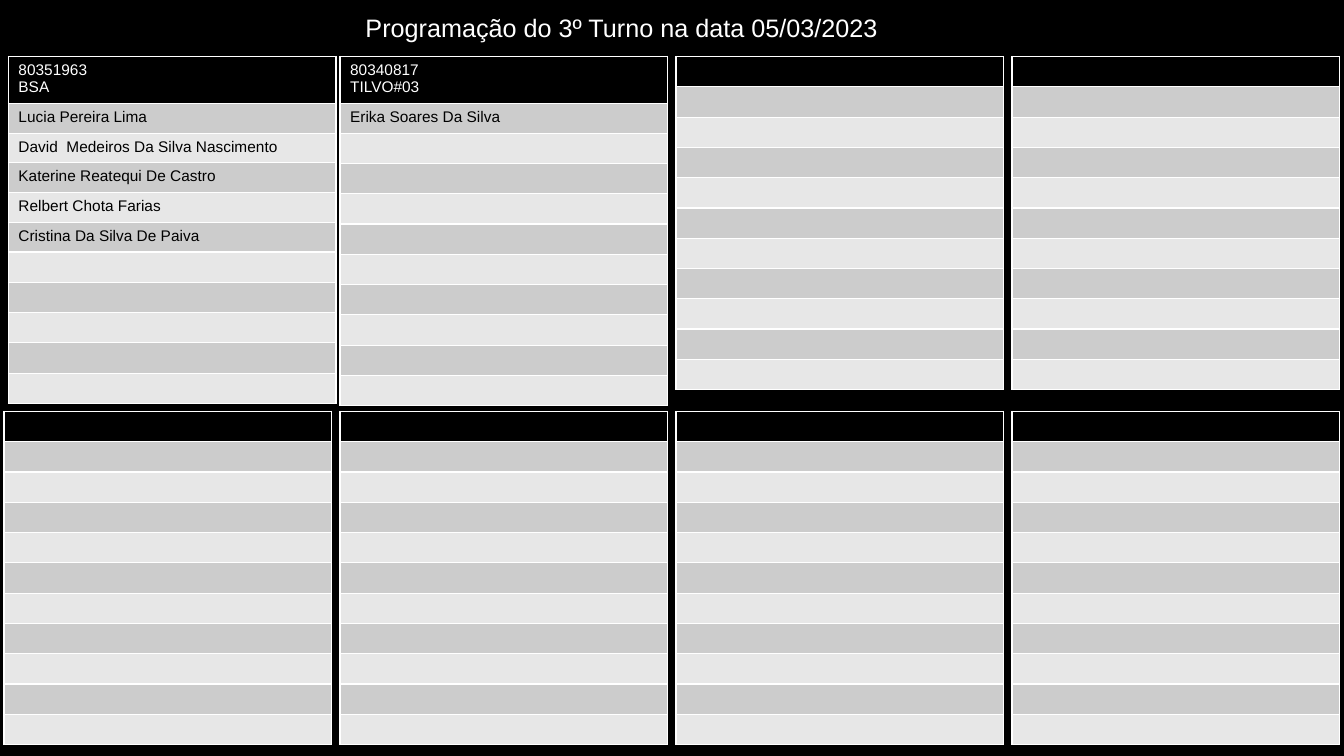
from pptx import Presentation
from pptx import util as u
from pptx.dml import color
from pptx.oxml import ns
from lxml import etree

FONT = "Arial"
BLACK, WHITE = "000000", "FFFFFF"
BANDS = ("CCCCCC", "E7E7E7")
ROWS = 11
TEXT_ROW, EMPTY_ROW, TWO_LINE_ROW = 21.25, 21.65, 33.5

# Grid of work order tables
LEFT, PITCH, WIDTH = 2.9, 240, 234
TOPS = (40.4, 293.9)
FIRST_TABLE_SHIFT = 3.1

ORDERS = [
    ("80351963\nBSA", [
        "Lucia Pereira Lima",
        "David\u00a0 Medeiros Da Silva Nascimento",
        "Katerine Reatequi De Castro",
        "Relbert Chota Farias",
        "Cristina Da Silva De Paiva",
    ]),
    ("80340817\nTILVO#03", ["Erika Soares Da Silva"]),
] + [("", [])] * 6


def rgb(value):
    return color.RGBColor.from_string(value)


def style_font(font, size, font_color):
    font.name = FONT
    font.size = u.Pt(size)
    font.color.rgb = rgb(font_color)


def add_borders(cell):
    properties = cell._tc.get_or_add_tcPr()
    for side in "LRTB":
        line = etree.SubElement(properties, ns.qn("a:ln" + side), w=str(u.Pt(1)))
        fill = etree.SubElement(line, ns.qn("a:solidFill"))
        etree.SubElement(fill, ns.qn("a:srgbClr"), val=WHITE)


def fill_cell(cell, content, fill_color, font_color):
    add_borders(cell)
    cell.fill.solid()
    cell.fill.fore_color.rgb = rgb(fill_color)
    cell.text = content
    for paragraph in cell.text_frame.paragraphs:
        style_font(paragraph.font, 11, font_color)


def add_order_table(slide, left, top, width, header, workers):
    contents = [header] + workers + [""] * (ROWS - 1 - len(workers))
    heights = [TEXT_ROW if content else EMPTY_ROW for content in contents]
    if header:
        heights[0] = TWO_LINE_ROW
    table = slide.shapes.add_table(ROWS, 1, u.Pt(left), u.Pt(top),
                                   u.Pt(width), u.Pt(sum(heights))).table
    table.first_row = table.horz_banding = False
    for index, (content, height) in enumerate(zip(contents, heights)):
        table.rows[index].height = u.Pt(height)
        cell = table.cell(index, 0)
        if index == 0:
            fill_cell(cell, content, BLACK, WHITE)
        else:
            fill_cell(cell, content, BANDS[(index - 1) % 2], BLACK)


def add_title(slide, left, top, width, height, title):
    box = slide.shapes.add_textbox(u.Pt(left), u.Pt(top), u.Pt(width), u.Pt(height))
    box.text_frame.word_wrap = False
    paragraph = box.text_frame.paragraphs[0]
    paragraph.text = title
    style_font(paragraph.font, 18, WHITE)


def add_schedule(slide, left, orders):
    for index, (header, workers) in enumerate(orders):
        row, column = divmod(index, 4)
        shift = FIRST_TABLE_SHIFT if index == 0 else 0
        add_order_table(slide, left + column * PITCH + shift, TOPS[row],
                        WIDTH, header, workers)


presentation = Presentation()
presentation.slide_width = u.Pt(960)
presentation.slide_height = u.Pt(540)
slide = presentation.slides.add_slide(presentation.slide_layouts[6])
slide.background.fill.solid()
slide.background.fill.fore_color.rgb = rgb(BLACK)

add_schedule(slide, LEFT, ORDERS)
add_title(slide, 254, 5, 452, 32, "Programação do 3º Turno na data 05/03/2023")

presentation.save("out.pptx")
